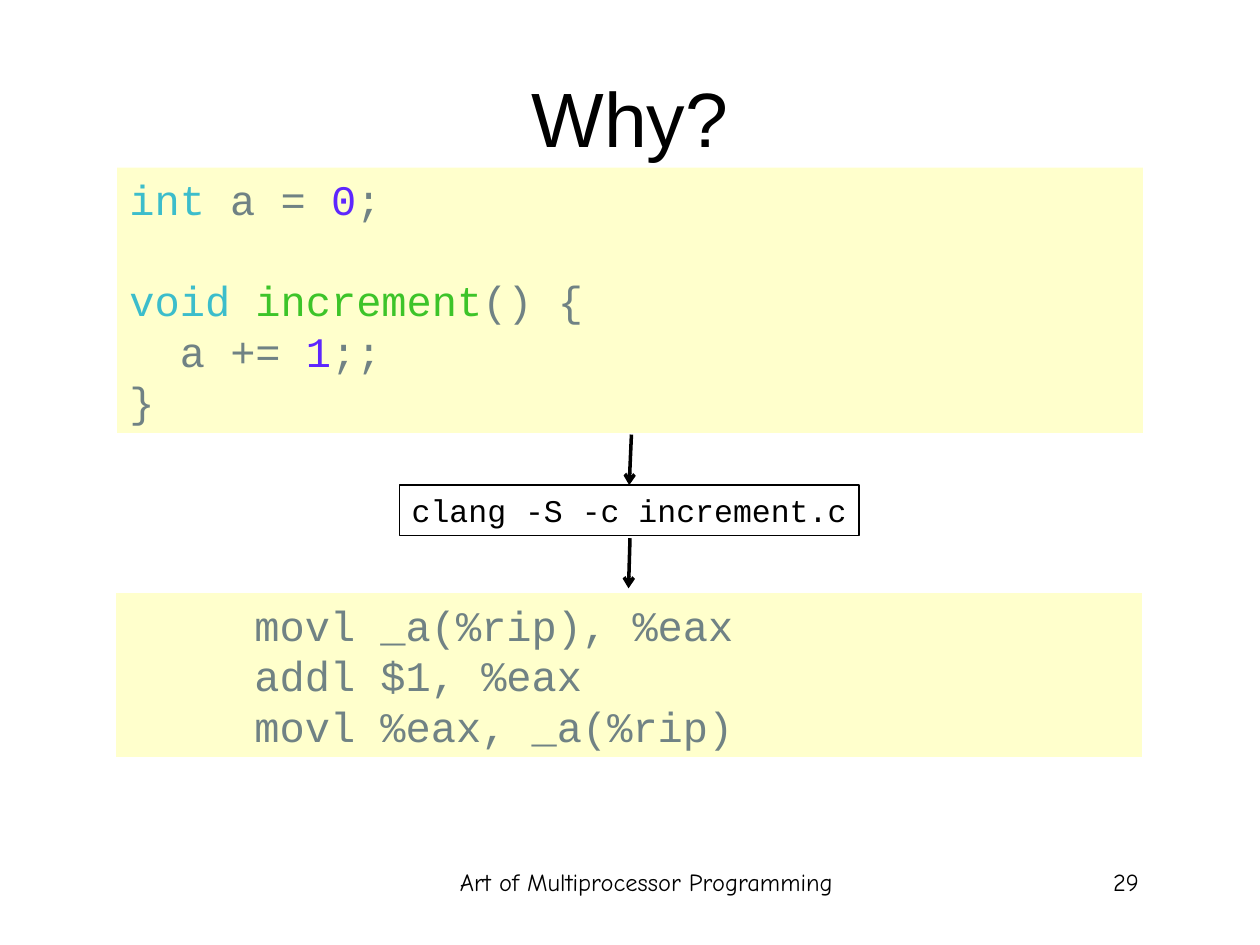
import pptx
import pptx.util
import pptx.dml.color
import pptx.enum.shapes
import pptx.enum.text
import pptx.oxml.ns
from lxml import etree

Cm, Pt = pptx.util.Cm, pptx.util.Pt
RGB = pptx.dml.color.RGBColor
ALIGN = pptx.enum.text.PP_ALIGN
ANCHOR = pptx.enum.text.MSO_ANCHOR

BLACK = RGB(0x00, 0x00, 0x00)
CREAM = RGB(0xFF, 0xFF, 0xCC)
GRAY = RGB(0x70, 0x82, 0x84)
TEAL = RGB(0x3C, 0xBD, 0xCB)
GREEN = RGB(0x3D, 0xC4, 0x29)
VIOLET = RGB(0x5E, 0x26, 0xFE)

MONO = "Courier New"
LEAD = 1.2  # line pitch of code, as a share of the font size

SOURCE = [
    [("int", TEAL), (" a = ", GRAY), ("0", VIOLET), (";", GRAY)],
    [("void ", TEAL), ("increment", GREEN), ("() {", GRAY)],
    [("  a += ", GRAY), ("1", VIOLET), (";;", GRAY)],
    [("}", GRAY)],
]
COMMAND = [[("clang -S -c increment.c", BLACK)]]
ASSEMBLY = [
    [(f"\t{verb}\t{args}", GRAY)]
    for verb, args in [
        ("movl", "_a(%rip), %eax"),
        ("addl", "$1, %eax"),
        ("movl", "%eax, _a(%rip)"),
    ]
]


def apply(item, **values):
    for name, value in values.items():
        setattr(item, name, value)


def add_node(parent, tag, **attrs):
    return etree.SubElement(parent, pptx.oxml.ns.qn(tag), **attrs)


def add_run(para, text, font, size, color):
    run = para.add_run()
    run.text = text
    apply(run.font, name=font, size=Pt(size))
    run.font.color.rgb = color


def add_label(slide, box, text, font, size, align, anchor=ANCHOR.TOP):
    frame = slide.shapes.add_textbox(*map(Cm, box)).text_frame
    apply(frame, word_wrap=True, vertical_anchor=anchor)
    para = frame.paragraphs[0]
    para.alignment = align
    add_run(para, text, font, size, BLACK)


def add_tabs(para):
    """Set left tab stops one and two inches from the text edge."""
    tabs = add_node(para._p.get_or_add_pPr(), "a:tabLst")
    for stop in (1, 2):
        add_node(tabs, "a:tab", pos=str(Cm(2.54 * stop)), algn="l")


def add_code(slide, box, lines, size, fill=None, wrap=True, gap=None):
    """Fill a box with coloured code; gap is the line that follows a blank one."""
    kind = pptx.enum.shapes.MSO_SHAPE.RECTANGLE
    shape = slide.shapes.add_shape(kind, *map(Cm, box))
    shape.shadow.inherit = False
    if fill is None:
        shape.fill.background()
        shape.line.color.rgb = BLACK
        shape.line.width = Pt(0.75)
    else:
        shape.fill.solid()
        shape.fill.fore_color.rgb = fill
        shape.line.fill.background()
    frame = shape.text_frame
    apply(frame, word_wrap=wrap, vertical_anchor=ANCHOR.TOP)
    for row, line in enumerate(lines):
        para = frame.add_paragraph() if row else frame.paragraphs[0]
        pitch = Pt(size * LEAD)
        apply(para, alignment=ALIGN.LEFT, line_spacing=pitch)
        if row == gap:
            para.space_before = pitch
        if any("\t" in text for text, _ in line):
            add_tabs(para)
        for text, color in line:
            add_run(para, text, MONO, size, color)
    return shape


def add_arrow(slide, start, end):
    kind = pptx.enum.shapes.MSO_CONNECTOR.STRAIGHT
    arrow = slide.shapes.add_connector(kind, *map(Cm, start + end))
    arrow.line.color.rgb = BLACK
    arrow.line.width = Pt(2)
    add_node(arrow.line._get_or_add_ln(), "a:tailEnd", type="arrow")
    add_node(arrow._element.spPr, "a:effectLst")
    return arrow


def add_flow(slide, box):
    """Stack source, compiler command and assembly, joined by arrows."""
    left, top, width = box
    mid = left + width / 2
    add_code(slide, (left, top, width, 5.35), SOURCE, 24, CREAM, gap=1)
    command = add_code(slide, (mid - 4.65, top + 6.4, 9.27, 1.02),
                       COMMAND, 18, wrap=False)
    add_code(slide, (left - 0.02, top + 8.58, width, 3.3),
             ASSEMBLY, 24, CREAM)
    first = add_arrow(slide, (mid + 0.03, top + 5.38), (mid, top + 6.4))
    first.end_connect(command, 0)
    add_arrow(slide, (mid, top + 7.47), (mid - 0.03, top + 8.48))


def add_footer(slide, box):
    left, top, width, height = box
    add_label(slide, (left, top, 8.69, height),
              "Art of Multiprocessor Programming", "Comic Neue", 14,
              ALIGN.CENTER)
    add_label(slide, (left + width - 5.28, top, 5.28, height),
              "29", "Comic Neue", 14, ALIGN.RIGHT)


def main():
    deck = pptx.Presentation()
    apply(deck, slide_width=Cm(25.4), slide_height=Cm(19.05))
    slide = deck.slides.add_slide(deck.slide_layouts[6])
    add_footer(slide, (8.69, 17.36, 14.52, 1.3))
    add_label(slide, (1.27, 0.76, 22.86, 3.18), "Why?", "Arial", 44,
              ALIGN.CENTER, ANCHOR.MIDDLE)
    add_flow(slide, (2.36, 3.38, 20.68))
    deck.save("out.pptx")


if __name__ == "__main__":
    main()
